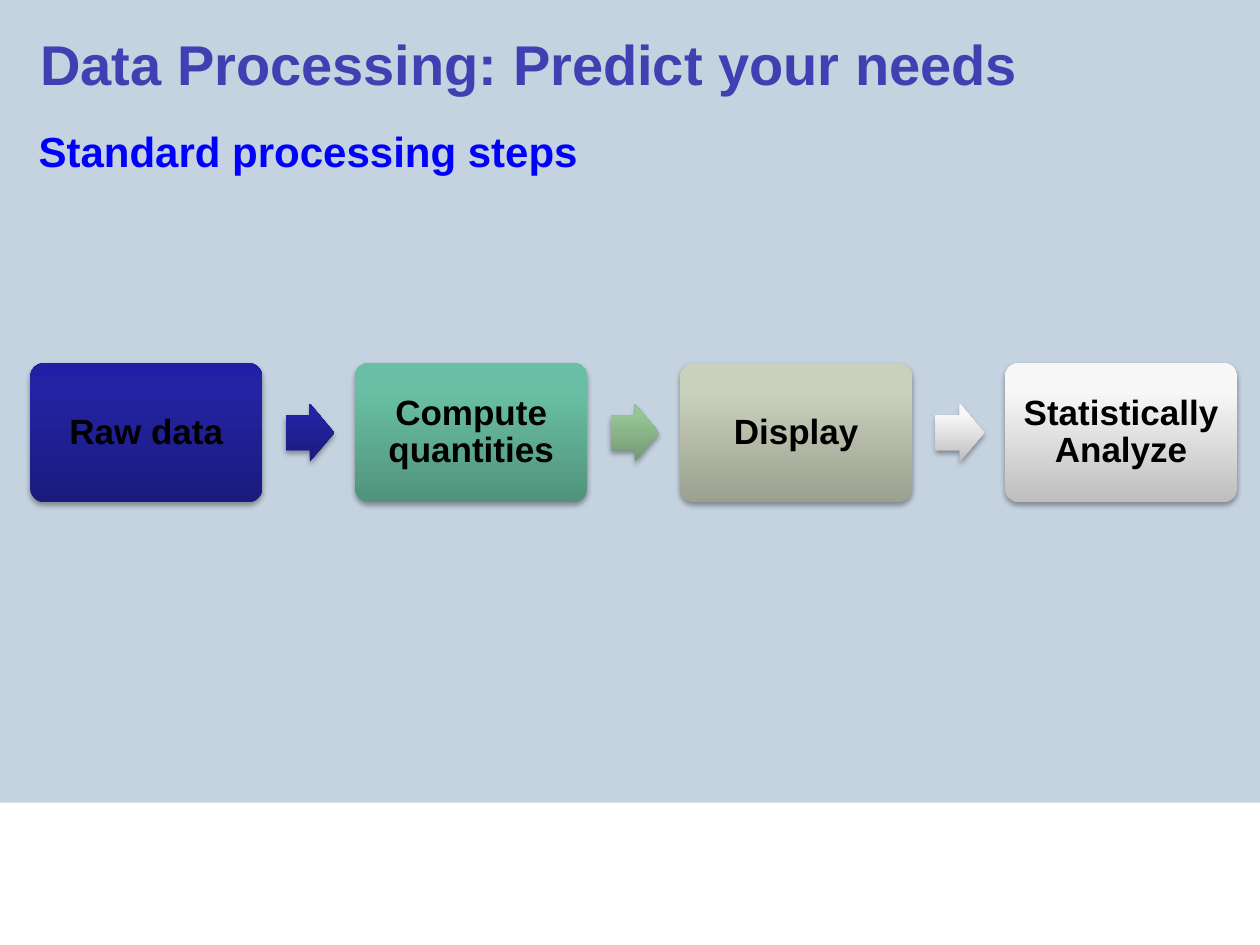
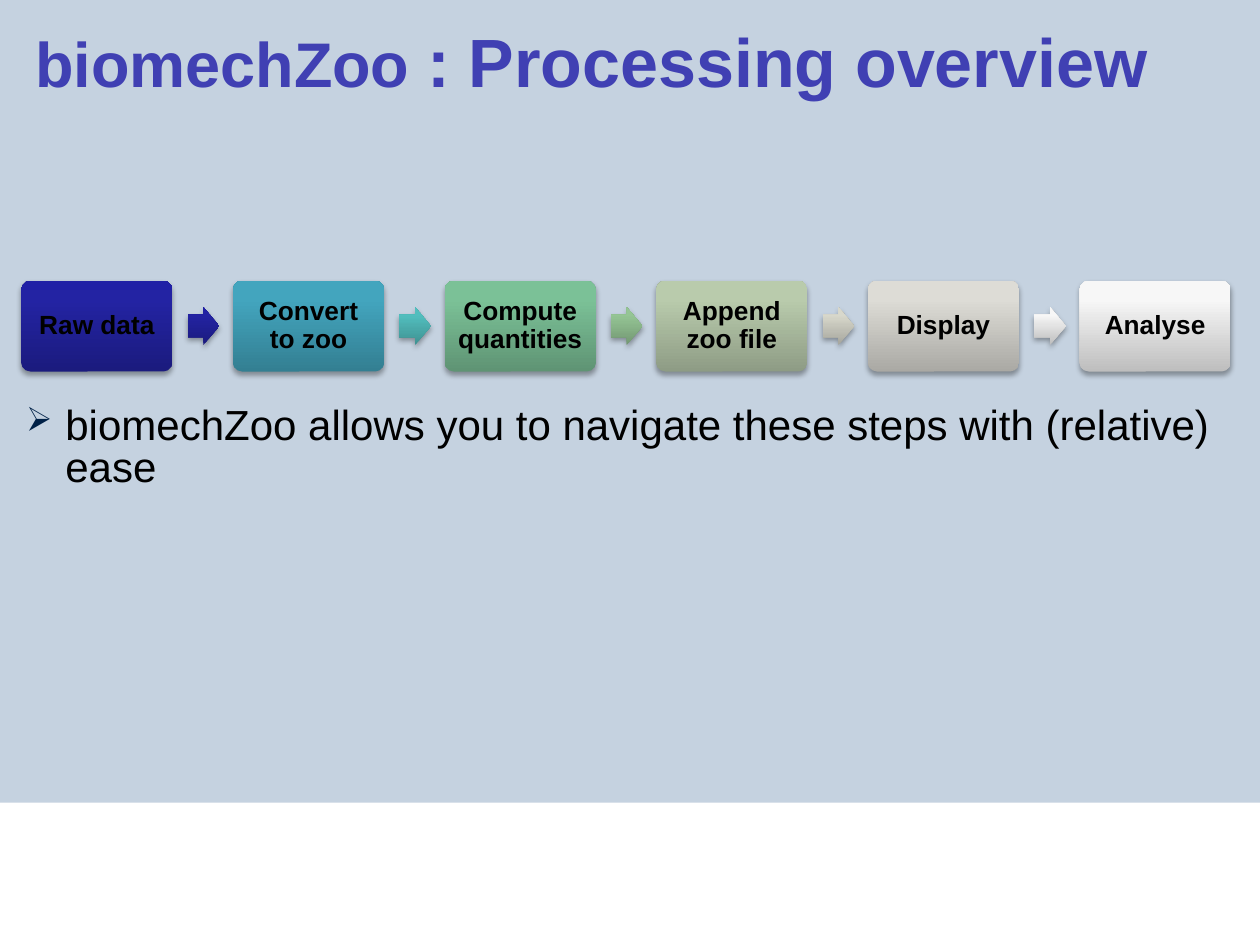
"""Builds two slides that show data processing as rows of steps joined by arrows."""
import copy
from dataclasses import dataclass, field

import lxml.etree
import pptx
import pptx.dml.color
import pptx.enum.shapes
import pptx.enum.text
import pptx.oxml.ns
import pptx.util

Cm = pptx.util.Cm
Pt = pptx.util.Pt
qn = pptx.oxml.ns.qn
SHAPE = pptx.enum.shapes.MSO_SHAPE
ALIGN = pptx.enum.text.PP_ALIGN
ANCHOR = pptx.enum.text.MSO_ANCHOR


@dataclass(frozen=True)
class Theme:
    """Colours, type sizes and gradient tones (bottom, upper, top) of the slides."""
    font: str = "Arial"
    background: str = "C5D2E0"
    band: str = "FFFFFF"
    title: str = "4040B3"
    subtitle: str = "0000FF"
    text: str = "000000"
    bullet: str = "002147"
    title_size: int = 32
    product_size: int = 36
    overview_size: int = 39
    body_size: int = 24
    large_label: int = 20
    small_label: int = 15
    tones: dict = field(default_factory=lambda: {
        "navy": ("1B1B7E", "2323A3", "2020A6"),
        "blue": ("337F92", "43A5BE", "41A8C1"),
        "teal": ("3F9292", "52BEBE", "50C1C1"),
        "sea": ("51937D", "69BFA3", "68C2A4"),
        "green": ("5F9474", "7BC197", "7BC398"),
        "leaf": ("739873", "95C595", "95C795"),
        "sage": ("8E9C85", "B9CBAC", "B9CDAD"),
        "olive": ("9BA090", "C9D0BB", "CAD2BB"),
        "sand": ("A6A69D", "D8D8CC", "D9D9CD"),
        "stone": ("AAA9A4", "DDDCD6", "DEDDD6"),
        "white": ("BEBEBE", "F7F7F7", "F8F8F8"),
    })


THEME = Theme()
TONE_POSITIONS = (0, 0.8, 1)

STANDARD_STEPS = [
    ("Raw data", "navy", "navy"),
    ("Compute quantities", "sea", "leaf"),
    ("Display", "olive", "white"),
    ("Statistically Analyze", "white", None),
]
ZOO_STEPS = [
    ("Raw data", "navy", "navy"),
    ("Convert to zoo", "blue", "teal"),
    ("Compute quantities", "green", "leaf"),
    ("Append zoo file", "sage", "sand"),
    ("Display", "stone", "white"),
    ("Analyse", "white", None),
]


def rgb(code):
    """Turn a hex code into a colour."""
    return pptx.dml.color.RGBColor.from_string(code)


def write(paragraph, text, size, color=THEME.text, bold=True, align=ALIGN.LEFT, spacing=None):
    """Add formatted text to a paragraph."""
    run = paragraph.add_run()
    run.text = text
    run.font.name = THEME.font
    run.font.size = Pt(size)
    run.font.bold = bold
    run.font.color.rgb = rgb(color)
    paragraph.alignment = align
    if spacing is not None:
        paragraph.line_spacing = spacing


def set_insets(frame, inset):
    """Give all four sides of a text frame the same inset."""
    frame.margin_left = frame.margin_right = inset
    frame.margin_top = frame.margin_bottom = inset


def add_glossy_shape(slide, preset, box, adjustments, tone):
    """Add a preset shape with a vertical three-stop gradient and a soft shadow."""
    shape = slide.shapes.add_shape(preset, *(int(length) for length in box))
    for index, value in enumerate(adjustments):
        shape.adjustments[index] = value
    shape.line.fill.background()
    shape.fill.gradient()
    shape.fill.gradient_angle = 90
    properties = shape.element.spPr
    stop_list = properties.find(".//" + qn("a:gsLst"))
    stop_list.append(copy.deepcopy(stop_list[-1]))
    for stop, position, color in zip(shape.fill.gradient_stops, TONE_POSITIONS, THEME.tones[tone]):
        stop.position = position
        stop.color.rgb = rgb(color)
    shape.shadow.inherit = False
    shadow = lxml.etree.SubElement(
        properties.find(qn("a:effectLst")), qn("a:outerShdw"),
        blurRad=str(Pt(3.1)), dist=str(Pt(1.8)), dir="5400000", rotWithShape="0")
    black = lxml.etree.SubElement(shadow, qn("a:srgbClr"), val="000000")
    lxml.etree.SubElement(black, qn("a:alpha"), val="35000")
    return shape


def add_process(slide, left, top, width, steps, label_size):
    """Fill a row of the given width with equal steps and the arrows between them."""
    step_width = width / (1.4 * len(steps) - 0.4)
    step_height = 0.6 * step_width
    arrow_width, arrow_height = 0.21 * step_width, 0.25 * step_width
    for index, (label, tone, arrow_tone) in enumerate(steps):
        step_left = left + 1.4 * step_width * index
        step = add_glossy_shape(slide, SHAPE.ROUNDED_RECTANGLE,
                                (step_left, top, step_width, step_height), [0.1], tone)
        frame = step.text_frame
        frame.word_wrap = True
        frame.vertical_anchor = ANCHOR.MIDDLE
        set_insets(frame, int(0.06 * step_width))
        write(frame.paragraphs[0], label, label_size, align=ALIGN.CENTER, spacing=0.9)
        if arrow_tone:
            arrow_box = (step_left + 1.1 * step_width, top + (step_height - arrow_height) / 2,
                         arrow_width, arrow_height)
            add_glossy_shape(slide, SHAPE.RIGHT_ARROW, arrow_box, [0.6, 0.5], arrow_tone)


def add_title(slide, left, top, width, height, parts):
    """Place the title placeholder and write its (text, size) parts."""
    title = slide.shapes.title
    title.left, title.top, title.width, title.height = left, top, width, height
    frame = title.text_frame
    frame.word_wrap = True
    frame.auto_size = pptx.enum.text.MSO_AUTO_SIZE.NONE
    frame.vertical_anchor = ANCHOR.TOP
    set_insets(frame, 0)
    for text, size in parts:
        write(frame.paragraphs[0], text, size, color=THEME.title, spacing=Pt(37))


def add_subtitle(slide, left, top, width, height, text):
    """Add a one-line blue heading under the title."""
    frame = slide.shapes.add_textbox(left, top, width, height).text_frame
    frame.word_wrap = False
    frame.auto_size = pptx.enum.text.MSO_AUTO_SIZE.SHAPE_TO_FIT_TEXT
    write(frame.paragraphs[0], text, THEME.body_size, color=THEME.subtitle)


def add_bullet(slide, left, top, width, height, text):
    """Add a paragraph with an arrowhead bullet and a hanging indent."""
    frame = slide.shapes.add_textbox(left, top, width, height).text_frame
    frame.word_wrap = True
    set_insets(frame, 0)
    paragraph = frame.paragraphs[0]
    write(paragraph, text, THEME.body_size, bold=False, spacing=Pt(24))
    properties = paragraph.alignment is not None and paragraph._p.get_or_add_pPr()
    indent = Cm(0.79)
    properties.set("marL", str(indent))
    properties.set("indent", str(-indent))
    bullet_color = lxml.etree.SubElement(properties, qn("a:buClr"))
    lxml.etree.SubElement(bullet_color, qn("a:srgbClr"), val=THEME.bullet)
    lxml.etree.SubElement(properties, qn("a:buSzPct"), val="80000")
    lxml.etree.SubElement(properties, qn("a:buChar"), char="➢")


def style_master(presentation, slide):
    """Give the master its background and the white band along the bottom."""
    master = presentation.slide_master
    master.background.fill.solid()
    master.background.fill.fore_color.rgb = rgb(THEME.background)
    band_top = Cm(16.18)
    band = slide.shapes.add_shape(SHAPE.RECTANGLE, 0, band_top, presentation.slide_width,
                                  presentation.slide_height - band_top)
    band.fill.solid()
    band.fill.fore_color.rgb = rgb(THEME.band)
    band.line.fill.background()
    band.shadow.inherit = False
    master.element.cSld.spTree.insert(2, band.element)


def build_standard_steps(slide):
    """Build the slide on the standard processing steps."""
    add_process(slide, Cm(0.61), Cm(7.32), Cm(24.33), STANDARD_STEPS, THEME.large_label)
    add_subtitle(slide, Cm(0.53), Cm(2.41), Cm(11.48), Cm(1.27), "Standard processing steps")
    add_title(slide, Cm(0.81), Cm(0.64), Cm(21.59), Cm(2.59),
              [("Data Processing: Predict your needs", THEME.title_size)])


def build_zoo_overview(slide):
    """Build the slide on the biomechZoo processing steps."""
    add_title(slide, Cm(0.71), Cm(0.74), Cm(25.12), Cm(2.59),
              [("biomechZoo ", THEME.product_size),
               (": Processing overview", THEME.overview_size)])
    add_process(slide, Cm(0.43), Cm(5.66), Cm(24.38), ZOO_STEPS, THEME.small_label)
    add_bullet(slide, Cm(0.53), Cm(8.2), Cm(24.38), Cm(4.93),
               "biomechZoo allows you to navigate these steps with (relative) ease")


def main():
    """Build and save the presentation."""
    presentation = pptx.Presentation()
    presentation.slide_width, presentation.slide_height = Cm(25.4), Cm(19.05)
    title_only = presentation.slide_layouts[5]
    standard, overview = (presentation.slides.add_slide(title_only) for _ in range(2))
    style_master(presentation, standard)
    build_standard_steps(standard)
    build_zoo_overview(overview)
    presentation.save("out.pptx")


if __name__ == "__main__":
    main()
